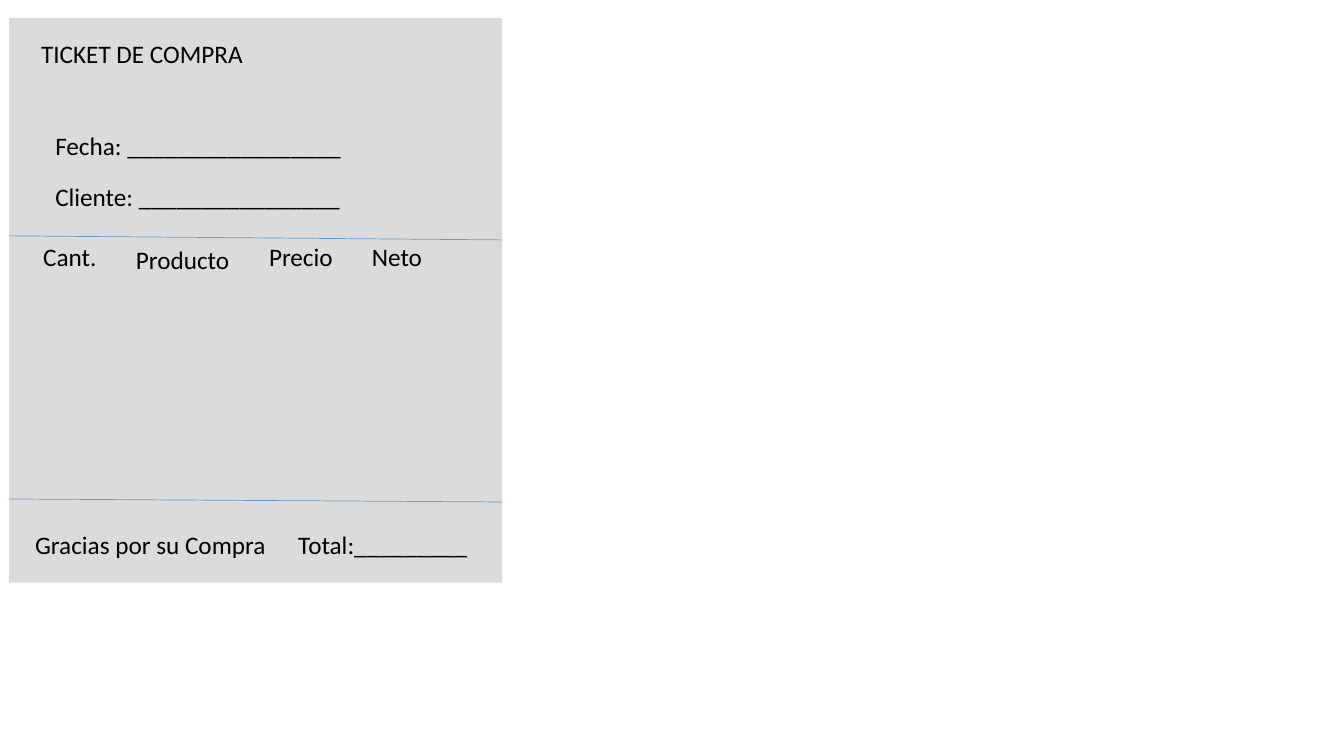
from dataclasses import dataclass

from lxml import etree
from pptx import Presentation
from pptx.dml.color import RGBColor
from pptx.enum.shapes import MSO_CONNECTOR, MSO_SHAPE
from pptx.enum.text import MSO_AUTO_SIZE
from pptx.oxml.ns import qn
from pptx.util import Inches, Pt

RECTANGLE = MSO_SHAPE.RECTANGLE
STRAIGHT = MSO_CONNECTOR.STRAIGHT
FIT_SHAPE = MSO_AUTO_SIZE.SHAPE_TO_FIT_TEXT
BLANK_LAYOUT = 6


@dataclass(frozen=True)
class Theme:
    font: str = "Calibri"
    text_size: Pt = Pt(18)
    text: RGBColor = RGBColor(0x00, 0x00, 0x00)
    paper: RGBColor = RGBColor(0xDB, 0xDB, 0xDB)
    rule: RGBColor = RGBColor(0x5B, 0x9B, 0xD5)
    rule_width: Pt = Pt(0.5)
    label_height: float = 0.4


@dataclass(frozen=True)
class Box:
    left: float
    top: float
    width: float
    height: float


THEME = Theme()


def add_label(slide, text, left, top, width):
    label = slide.shapes.add_textbox(
        Inches(left), Inches(top), Inches(width), Inches(THEME.label_height))
    frame = label.text_frame
    frame.word_wrap = True
    frame.auto_size = FIT_SHAPE
    paragraph = frame.paragraphs[0]
    paragraph.text = text
    paragraph.font.name = THEME.font
    paragraph.font.size = THEME.text_size
    paragraph.font.color.rgb = THEME.text


def add_rule(slide, box, drop):
    """Draw a rule along the top of the box, sinking by drop at its right end."""
    rule = slide.shapes.add_connector(
        STRAIGHT, Inches(box.left), Inches(box.top),
        Inches(box.left + box.width), Inches(box.top + drop))
    rule.line.color.rgb = THEME.rule
    rule.line.width = THEME.rule_width
    etree.SubElement(rule._element.spPr, qn("a:effectLst"))


def add_paper(slide, box):
    paper = slide.shapes.add_shape(
        RECTANGLE, Inches(box.left), Inches(box.top),
        Inches(box.width), Inches(box.height))
    paper.shadow.inherit = False
    paper.fill.solid()
    paper.fill.fore_color.rgb = THEME.paper
    paper.line.fill.background()


def add_header(slide, box):
    add_label(slide, "TICKET DE COMPRA", box.left + 0.22, box.top + 0.15, 2.47)
    fields = ("Fecha: " + "_" * 17, "Cliente: " + "_" * 16)
    for row, field in enumerate(fields):
        add_label(slide, field, box.left + 0.36, box.top + 1.06 + row * 0.51, 3.57)


def add_items(slide, box):
    add_rule(slide, box, 0.04)
    # Column headings: text, offset from the box's left and top, width
    headings = (
        ("Cant.", 0.24, 0, 0.87),
        ("Producto", 1.16, 0.03, 1.15),
        ("Precio", 2.48, 0, 0.87),
        ("Neto", 3.5, 0, 0.87),
    )
    for text, across, down, width in headings:
        add_label(slide, text, box.left + across, box.top + down, width)


def add_footer(slide, box):
    add_rule(slide, box, 0.03)
    line_top = box.top + 0.25
    add_label(slide, "Gracias por su Compra", box.left + 0.16, line_top, 2.6)
    add_label(slide, "Total:" + "_" * 9, box.left + 2.77, line_top, 1.9)


def add_ticket(slide, box):
    add_paper(slide, box)
    # Regions stacked down the ticket
    header_height, items_height = 2.16, 2.61
    items_top = box.top + header_height
    footer_top = items_top + items_height
    footer_height = box.height - header_height - items_height
    add_header(slide, Box(box.left, box.top, box.width, header_height))
    add_items(slide, Box(box.left, items_top, box.width, items_height))
    add_footer(slide, Box(box.left, footer_top, box.width, footer_height))


def main():
    presentation = Presentation()
    presentation.slide_width = Inches(13.33)
    presentation.slide_height = Inches(7.5)
    slide = presentation.slides.add_slide(presentation.slide_layouts[BLANK_LAYOUT])
    add_ticket(slide, Box(0.09, 0.18, 4.89, 5.6))
    presentation.save("out.pptx")


if __name__ == "__main__":
    main()
